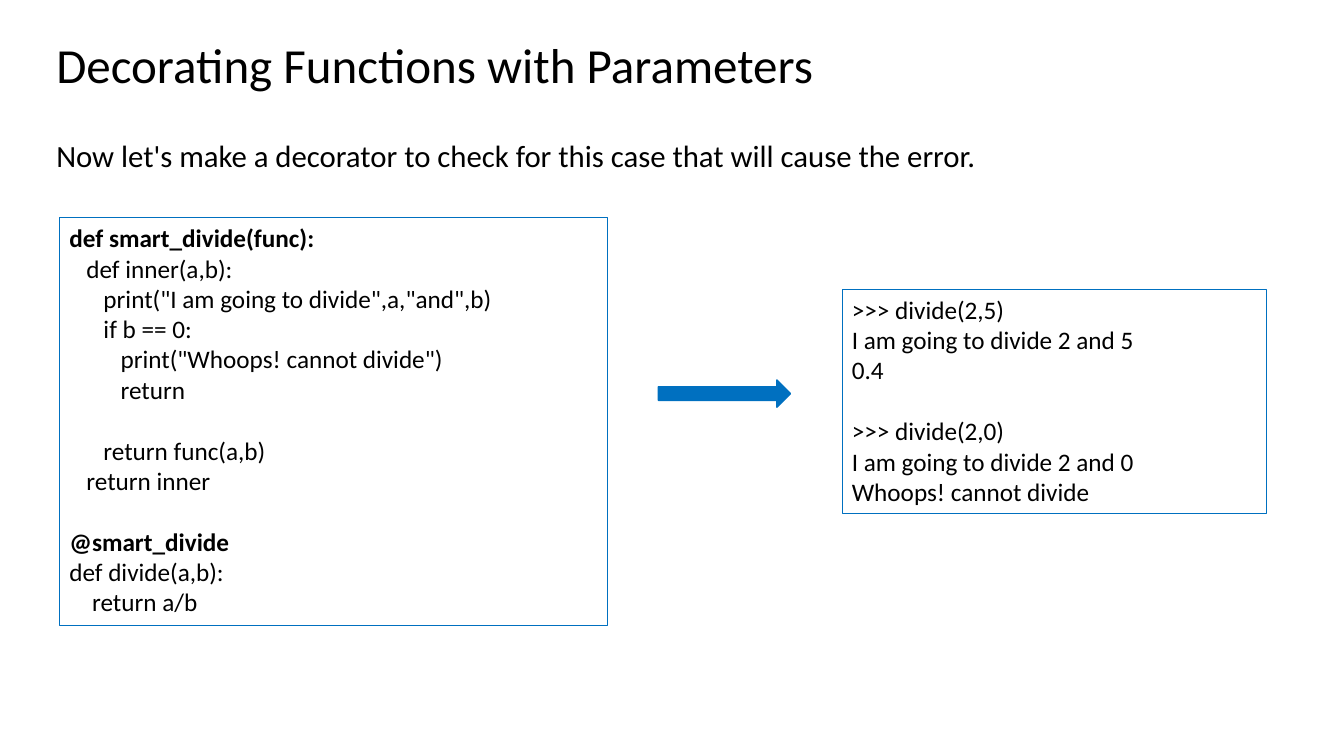
import pptx
import pptx.util
import pptx.dml.color
import pptx.enum.shapes
import pptx.enum.text

Inches = pptx.util.Inches
Pt = pptx.util.Pt
SHAPE = pptx.enum.shapes.MSO_SHAPE
ANCHOR = pptx.enum.text.MSO_ANCHOR
FIT = pptx.enum.text.MSO_AUTO_SIZE
ALIGN = pptx.enum.text.PP_ALIGN

BLUE = "0070C0"
BLACK = "000000"
WHITE = "FFFFFF"

CODE = [
    """def smart_divide(func):
   def inner(a,b):
      print("I am going to divide",a,"and",b)
      if b == 0:
         print("Whoops! cannot divide")
         return""",
    """      return func(a,b)
   return inner""",
    """@smart_divide
def divide(a,b):
    return a/b""",
]
BOLD = ("def smart_divide(func):", "@smart_divide")
OUTPUT = [
    """>>> divide(2,5)
I am going to divide 2 and 5
0.4""",
    """>>> divide(2,0)
I am going to divide 2 and 0
Whoops! cannot divide""",
]


def color(value):
    """Turn a hex string into a colour."""
    return pptx.dml.color.RGBColor.from_string(value)


def style(para, size, bold=False):
    """Set the font of each run in a paragraph."""
    para.alignment = ALIGN.LEFT
    for run in para.runs:
        run.font.name = "Calibri"
        run.font.size = Pt(size)
        run.font.bold = bold
        run.font.color.rgb = color(BLACK)


def add_line(slide, text, top, size, anchor):
    """Add a full-width line of text."""
    box = slide.shapes.add_textbox(
        Inches(0.46), Inches(top), Inches(12.59), Inches(0.58))
    frame = box.text_frame
    frame.word_wrap = True
    frame.vertical_anchor = anchor
    frame.text = text
    para = frame.paragraphs[0]
    para.line_spacing = 0.9
    style(para, size)


def add_block(slide, kind, place, fill, width):
    """Add a filled shape with a blue outline."""
    shape = slide.shapes.add_shape(kind, *map(Inches, place))
    shape.shadow.inherit = False
    shape.fill.solid()
    shape.fill.fore_color.rgb = color(fill)
    shape.line.color.rgb = color(BLUE)
    shape.line.width = Pt(width)
    return shape


def add_code(slide, parts, place):
    """Add a box of code whose parts are set one line apart."""
    frame = add_block(slide, SHAPE.RECTANGLE, place, WHITE, 0.5).text_frame
    frame.word_wrap = True
    frame.auto_size = FIT.SHAPE_TO_FIT_TEXT
    frame.vertical_anchor = ANCHOR.TOP
    frame.text = "\n".join(parts)
    lines = iter(frame.paragraphs)
    for part, text in enumerate(parts):
        for row, line in enumerate(text.split("\n")):
            para = next(lines)
            style(para, 18, line in BOLD)
            if part and row == 0:
                para.space_before = Pt(22)


def main():
    """Build the slide and save it."""
    deck = pptx.Presentation()
    deck.slide_width = Inches(13.33)
    deck.slide_height = Inches(7.5)
    slide = deck.slides.add_slide(deck.slide_layouts[6])
    add_line(slide, "Decorating Functions with Parameters",
             0.38, 35, ANCHOR.MIDDLE)
    add_line(slide, "Now let's make a decorator to check for this case "
             "that will cause the error.", 1.35, 22, ANCHOR.TOP)
    add_code(slide, CODE, (0.59, 2.16, 5.43, 4.04))
    add_code(slide, OUTPUT, (8.35, 2.87, 4.21, 2.22))
    add_block(slide, SHAPE.RIGHT_ARROW, (6.53, 3.77, 1.31, 0.27), BLUE, 1)
    deck.save("out.pptx")


if __name__ == "__main__":
    main()
